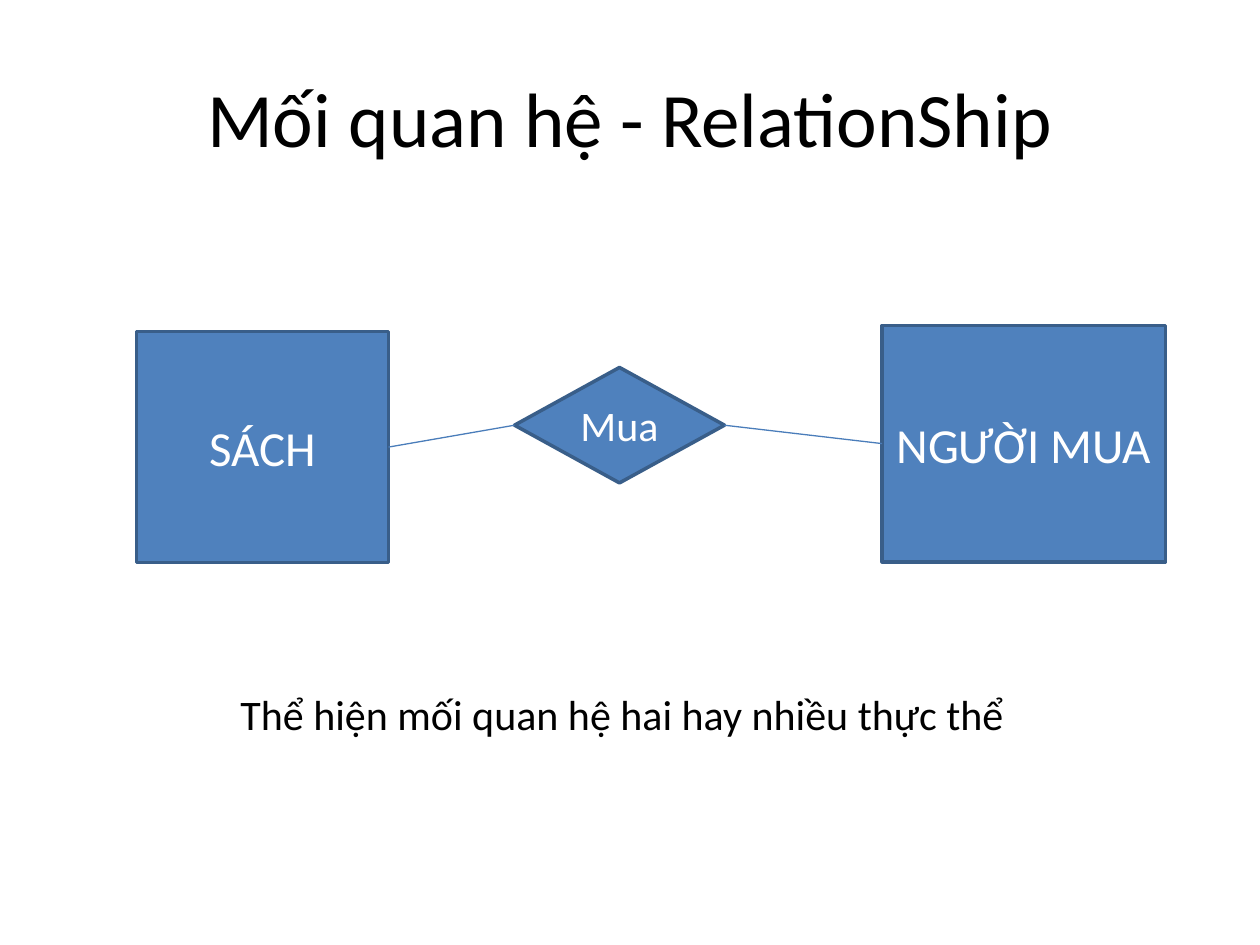
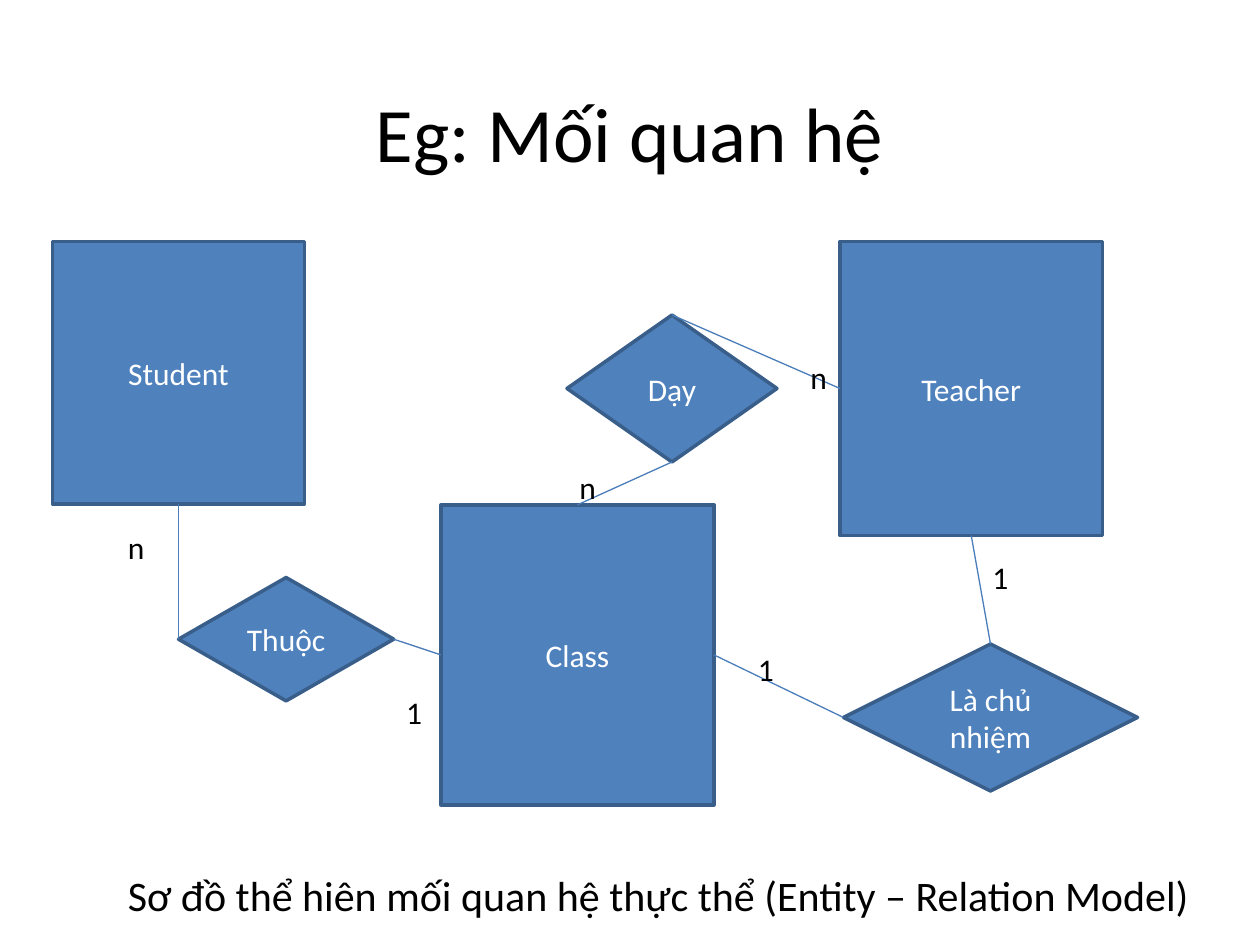
from pptx import Presentation
from pptx.dml.color import RGBColor as RGB
from pptx.enum.shapes import MSO_CONNECTOR as Link, MSO_SHAPE as Kind
from pptx.enum.text import MSO_ANCHOR as Anchor, PP_ALIGN as Align
from pptx.oxml.ns import qn
from pptx.util import Pt
from lxml import etree

# Shared look
FONT = "Calibri"
BLUE, EDGE, WIRE = "4F81BD", "395E89", "4A7DBA"
BLACK, WHITE = "000000", "FFFFFF"
# Connection sites of boxes and diamonds
TOP, LEFT, BOTTOM, RIGHT = range(4)


def paint(form, color):
    """Set the colour of a fill, or of any other colour format."""
    if hasattr(form, "solid"):
        form.solid()
        form = form.fore_color
    form.rgb = RGB.from_string(color)


def write(shape, text, size, color, align, anchor):
    frame = shape.text_frame
    frame.word_wrap = True
    frame.vertical_anchor = anchor
    para = frame.paragraphs[0]
    para.text = text
    para.alignment = align
    para.font.name = FONT
    para.font.size = Pt(size)
    paint(para.font.color, color)


def add_page(deck, title, top):
    page = deck.slides.add_slide(deck.slide_layouts[5])
    head = page.shapes.title
    head.left, head.top, head.width, head.height = map(Pt, (36, top, 648, 90))
    write(head, title, 44, BLACK, Align.CENTER, Anchor.MIDDLE)
    return page


def add_node(page, kind, text, place, size):
    node = page.shapes.add_shape(kind, *map(Pt, place))
    node.shadow.inherit = False
    paint(node.fill, BLUE)
    paint(node.line.fill, EDGE)
    node.line.width = Pt(2)
    write(node, text, size, WHITE, Align.CENTER, Anchor.MIDDLE)
    return node


def entity(page, text, place, size=18):
    return add_node(page, Kind.RECTANGLE, text, place, size)


def relation(page, text, place, size=18):
    return add_node(page, Kind.FLOWCHART_DECISION, text, place, size)


def join(page, start, out, end, into):
    """Glue a line from one site of start to one site of end."""
    line = page.shapes.add_connector(Link.STRAIGHT, 0, 0, 0, 0)
    line.begin_connect(start, out)
    line.end_connect(end, into)
    paint(line.line.fill, WIRE)
    line.line.width = Pt(0.75)
    etree.SubElement(line._element.spPr, qn("a:effectLst"))


def add_text(page, text, place, size):
    box = page.shapes.add_textbox(*map(Pt, place))
    write(box, text, size, BLACK, Align.LEFT, Anchor.TOP)


def show_basics(deck):
    page = add_page(deck, "Mối quan hệ - RelationShip", 21.6)
    book = entity(page, "SÁCH", (78, 189.5, 144, 132), 28)
    buyer = entity(page, "NGƯỜI MUA", (504, 186, 162, 135), 28)
    buy = relation(page, "Mua", (294, 210, 120, 66), 24)
    join(page, book, RIGHT, buy, LEFT)
    join(page, buy, RIGHT, buyer, LEFT)
    add_text(page, "Thể hiện mối quan hệ hai hay nhiều thực thể",
             (130.3, 390, 455, 36.4), 24)


def show_model(deck):
    page = add_page(deck, "Eg: Mối quan hệ", 30)

    # Entities and relations
    student = entity(page, "Student", (30, 138, 144, 150))
    teacher = entity(page, "Teacher", (480, 138, 150, 168))
    group = entity(page, "Class", (252, 288.5, 156, 171.5))
    belong = relation(page, "Thuộc", (102, 330, 123, 70.5))
    teach = relation(page, "Dạy", (324, 180, 120, 84))
    lead = relation(page, "Là chủ nhiệm", (482, 368, 168, 84))

    # Lines
    for ends in ((student, BOTTOM, belong, LEFT),
                 (belong, RIGHT, group, LEFT),
                 (teacher, LEFT, teach, TOP),
                 (teach, BOTTOM, group, TOP),
                 (teacher, BOTTOM, lead, TOP),
                 (lead, LEFT, group, RIGHT)):
        join(page, *ends)

    # Counts beside the line ends
    for count, left, top in (("n", 324, 264), ("n", 456, 201),
                             ("1", 426, 368), ("1", 560, 315.5),
                             ("1", 225, 392.5), ("n", 66, 298)):
        add_text(page, count, (left, top, 24.4, 29), 18)
    add_text(page, "Sơ đồ thể hiên mối quan hệ thực thể (Entity – Relation Model)",
             (66, 493.2, 626.4, 36.4), 24)


def main():
    deck = Presentation()
    deck.slide_width, deck.slide_height = Pt(720), Pt(540)
    show_basics(deck)
    show_model(deck)
    deck.save("out.pptx")


main()
